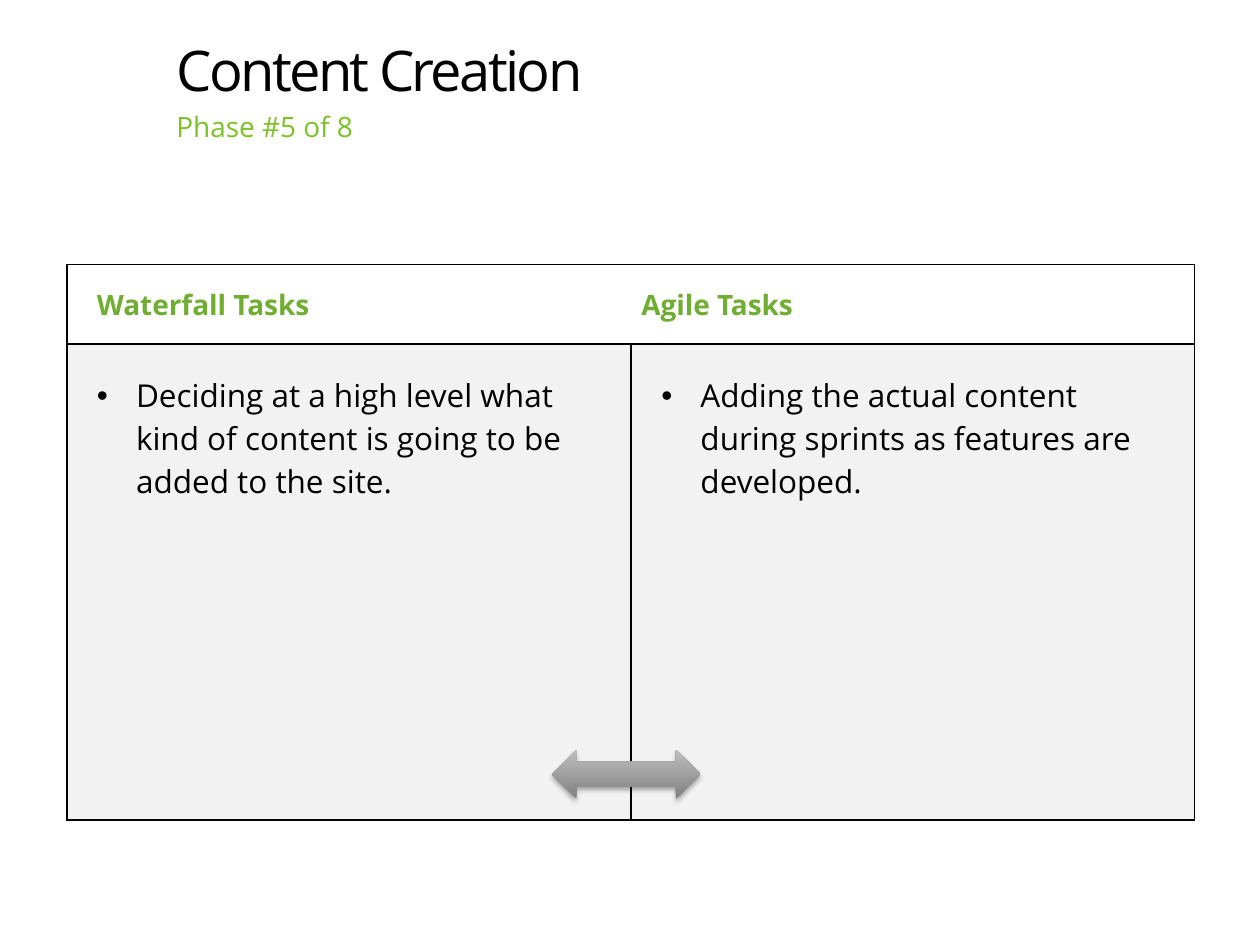
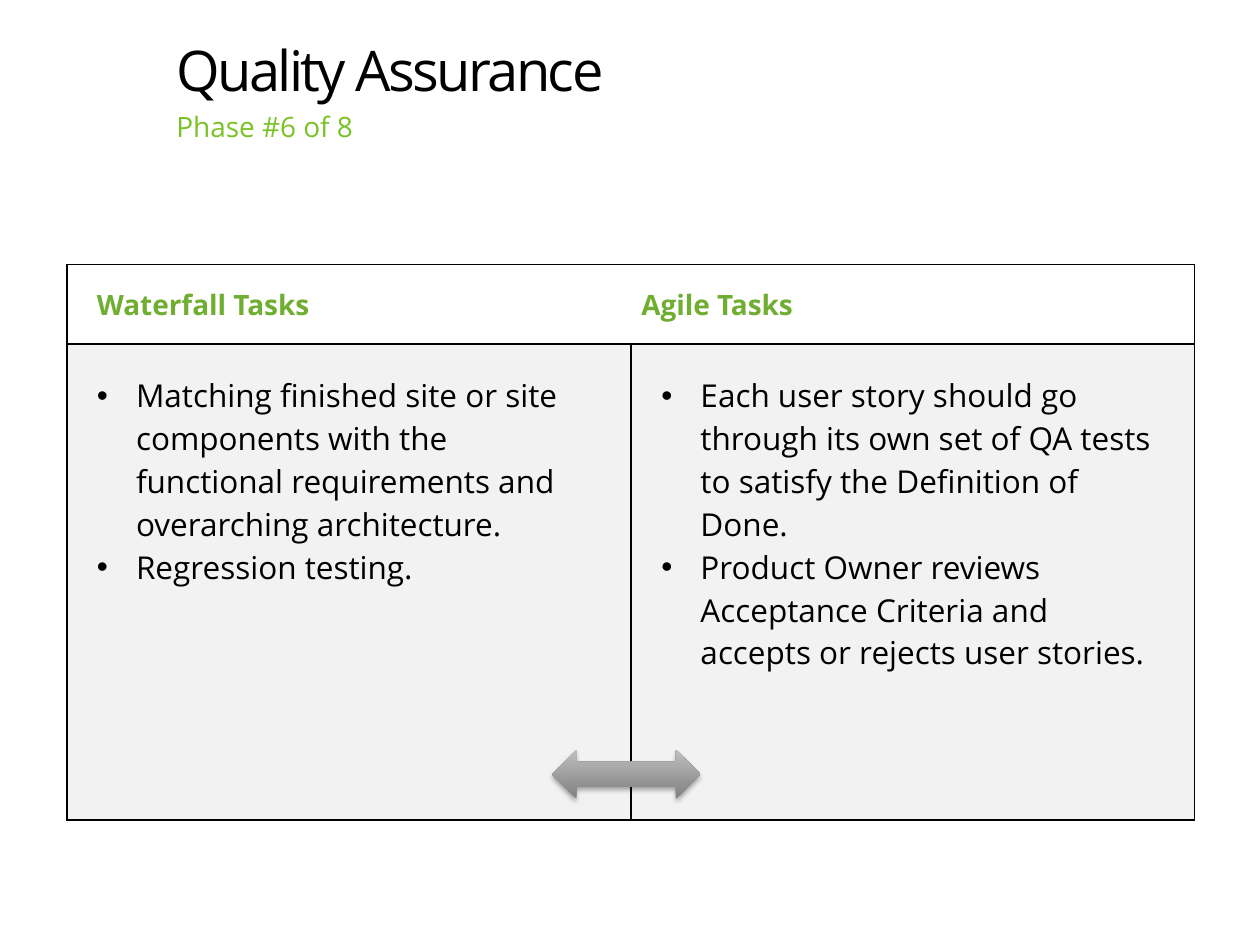
from lxml import etree
from pptx import Presentation
from pptx.dml.color import RGBColor
from pptx.enum.shapes import MSO_SHAPE
from pptx.enum.text import MSO_ANCHOR, MSO_AUTO_SIZE, PP_ALIGN
from pptx.oxml.ns import qn
from pptx.util import Inches, Pt

BLACK = RGBColor(0x00, 0x00, 0x00)
PHASE_GREEN = RGBColor(0x7B, 0xC2, 0x26)
HEADER_GREEN = RGBColor(0x70, 0xAE, 0x32)
PANEL_GRAY = RGBColor(0xF2, 0xF2, 0xF2)
ARROW_DARK = RGBColor(0x80, 0x80, 0x80)
ARROW_LIGHT = RGBColor(0xBF, 0xBF, 0xBF)

FONT = "Open Sans"
TITLE_AND_CONTENT = 1
LEFT = PP_ALIGN.LEFT
TOP, MIDDLE = MSO_ANCHOR.TOP, MSO_ANCHOR.MIDDLE
NO_AUTOFIT = MSO_AUTO_SIZE.NONE
DOUBLE_ARROW = MSO_SHAPE.LEFT_RIGHT_ARROW

PHASE_COUNT = 8
PHASES = [
    (5, "Content Creation",
     ["Deciding at a high level what kind of content is going to be added to the site."],
     ["Adding the actual content during sprints as features are developed."]),
    (6, "Quality Assurance",
     ["Matching finished site or site components with the functional requirements "
      "and overarching architecture.",
      "Regression testing."],
     ["Each user story should go through its own set of QA tests to satisfy the "
      "Definition of Done.",
      "Product Owner reviews Acceptance Criteria and accepts or rejects user stories."]),
]


def add_xml(parent, tag, **attrs):
    return etree.SubElement(parent, qn(tag), {k: str(v) for k, v in attrs.items()})


class PhaseDeck:
    def __init__(self, prs):
        self.prs = prs
        self.slide = None

    def new_slide(self):
        layout = self.prs.slide_layouts[TITLE_AND_CONTENT]
        self.slide = self.prs.slides.add_slide(layout)

    def style(self, p, size, color, bold=False):
        p.alignment = LEFT
        p.line_spacing = 1.0
        p.space_before = Pt(0)
        p.font.name = FONT
        p.font.size = Pt(size)
        p.font.bold = bold
        p.font.color.rgb = color

    def fill_placeholder(self, sp, text, box, size, color):
        sp.left, sp.top, sp.width, sp.height = (Inches(v) for v in box)
        tf = sp.text_frame
        tf.auto_size = NO_AUTOFIT
        tf.vertical_anchor = TOP
        tf.margin_top = Inches(0.03)
        tf.text = text
        p = tf.paragraphs[0]
        pPr = p._p.get_or_add_pPr()
        pPr.set("marL", "0")
        pPr.set("indent", "0")
        add_xml(pPr, "a:buNone")
        self.style(p, size, color)
        return p

    def title(self, text):
        p = self.fill_placeholder(self.slide.shapes.title, text,
                                  (1.3, 0.25, 8.27, 1.61), 32, BLACK)
        p.font._rPr.set("spc", "-150")

    def subtitle(self, text):
        self.fill_placeholder(self.slide.placeholders[1], text,
                              (1.3, 0.84, 8.19, 0.55), 16, PHASE_GREEN)

    def borders(self, cell):
        tcPr = cell._tc.get_or_add_tcPr()
        for side in ("a:lnL", "a:lnR", "a:lnT", "a:lnB"):
            ln = add_xml(tcPr, side, w=Pt(1))
            add_xml(add_xml(ln, "a:solidFill"), "a:srgbClr", val=BLACK)

    def header_cell(self, cell, labels):
        cell.fill.background()
        cell.vertical_anchor = MIDDLE
        cell.margin_left = Inches(0.24)
        cell.margin_top = cell.margin_right = cell.margin_bottom = 0
        p = cell.text_frame.paragraphs[0]
        p.text = "\t".join(labels)
        tabs = add_xml(p._p.get_or_add_pPr(), "a:tabLst")
        add_xml(tabs, "a:tab", pos=Inches(4.32), algn="l")
        self.style(p, 16, HEADER_GREEN, bold=True)

    def task_cell(self, cell, tasks):
        cell.fill.solid()
        cell.fill.fore_color.rgb = PANEL_GRAY
        cell.margin_left = cell.margin_right = Inches(0.24)
        cell.margin_top = cell.margin_bottom = Inches(0.24)
        tf = cell.text_frame
        tf.text = "\n".join(tasks)
        for p in tf.paragraphs:
            pPr = p._p.get_or_add_pPr()
            pPr.set("marL", str(Inches(0.31)))
            pPr.set("indent", str(-Inches(0.31)))
            add_xml(pPr, "a:buFont", typeface="Arial")
            add_xml(pPr, "a:buChar", char="•")
            self.style(p, 18, BLACK)

    def task_table(self, waterfall, agile):
        table = self.slide.shapes.add_table(
            2, 2, Inches(0.53), Inches(2.1), Inches(8.95), Inches(4.41)).table
        table.first_row = table.horz_banding = False
        for col, width in zip(table.columns, (4.48, 4.47)):
            col.width = Inches(width)
        for row, height in zip(table.rows, (0.63, 3.78)):
            row.height = Inches(height)
        for cell in table.iter_cells():
            self.borders(cell)
        table.cell(0, 0).merge(table.cell(0, 1))
        self.header_cell(table.cell(0, 0), ("Waterfall Tasks", "Agile Tasks"))
        for col, tasks in enumerate((waterfall, agile)):
            self.task_cell(table.cell(1, col), tasks)

    def exchange_arrow(self):
        sp = self.slide.shapes.add_shape(
            DOUBLE_ARROW, Inches(4.38), Inches(5.95), Inches(1.18), Inches(0.39))
        sp.line.fill.background()
        sp.fill.gradient()
        sp.fill.gradient_angle = 90
        for stop, color, position in zip(sp.fill.gradient_stops,
                                         (ARROW_DARK, ARROW_LIGHT), (0, 1)):
            stop.color.rgb = color
            stop.position = position
        sp.shadow.inherit = False
        effects = sp._element.spPr.find(qn("a:effectLst"))
        shadow = add_xml(effects, "a:outerShdw", blurRad=Pt(3.1), dist=Pt(1.8),
                         dir=90 * 60000, rotWithShape=0)
        add_xml(add_xml(shadow, "a:srgbClr", val=BLACK), "a:alpha", val=35000)


def main():
    prs = Presentation()
    prs.slide_width, prs.slide_height = Inches(10), Inches(7.5)
    deck = PhaseDeck(prs)
    for number, name, waterfall, agile in PHASES:
        deck.new_slide()
        deck.title(name)
        deck.subtitle(f"Phase #{number} of {PHASE_COUNT}")
        deck.task_table(waterfall, agile)
        deck.exchange_arrow()
    prs.save("out.pptx")


if __name__ == "__main__":
    main()
